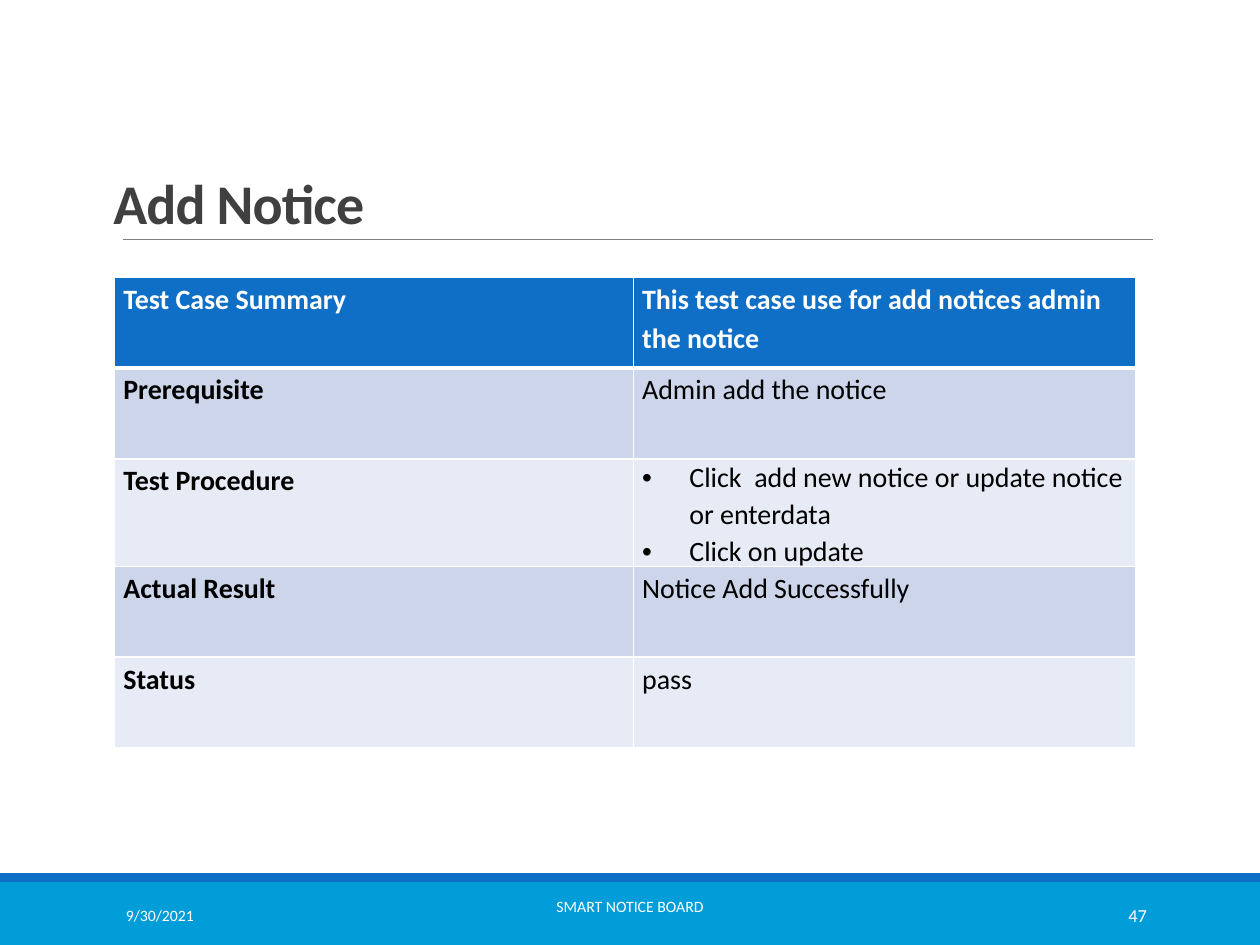
from pptx import Presentation as Deck
from pptx.util import Pt
from pptx.dml.color import RGBColor as RGB
from pptx.enum.shapes import MSO_SHAPE as Shape, MSO_CONNECTOR as Wire
from pptx.enum.text import PP_ALIGN as Align, MSO_ANCHOR as Anchor, MSO_AUTO_SIZE as Fit
from pptx.oxml.ns import qn
from lxml.etree import SubElement as Sub

WHITE = RGB(0xFF, 0xFF, 0xFF)
BLACK = RGB(0x00, 0x00, 0x00)
INK = RGB(0x40, 0x40, 0x40)
GRAY = RGB(0x80, 0x80, 0x80)
BLUE = RGB(0x0F, 0x6F, 0xC6)
CYAN = RGB(0x00, 0x9D, 0xD9)
BANDS = [RGB(0xE7, 0xEB, 0xF5), RGB(0xCC, 0xD5, 0xEA)]


def apply(obj, vals):
    for key, val in vals.items():
        setattr(obj, key, val)


class Page:
    face = "Calibri"

    def __init__(self, deck):
        self.slide = deck.slides.add_slide(deck.slide_layouts[5])
        self.shapes = self.slide.shapes

    def text(self, para, words, size, color, bold=False, **form):
        apply(para, form)
        run = para.add_run()
        run.text = words
        apply(run.font, {"name": self.face, "size": Pt(size), "bold": bold})
        run.font.color.rgb = color
        return run

    def bar(self, box, color):
        bar = self.shapes.add_shape(Shape.RECTANGLE, *map(Pt, box))
        bar.shadow.inherit = False
        bar.fill.solid()
        bar.fill.fore_color.rgb = color
        bar.line.fill.background()

    def rule(self, ends, color, width):
        rule = self.shapes.add_connector(Wire.STRAIGHT, *map(Pt, ends))
        rule.line.color.rgb = color
        rule.line.width = Pt(width)
        Sub(rule._element.spPr, qn("a:effectLst"))

    def title(self, box, words):
        title = self.shapes.title
        apply(title, dict(zip(("left", "top", "width", "height"), map(Pt, box))))
        frame = title.text_frame
        apply(frame, {"vertical_anchor": Anchor.BOTTOM, "word_wrap": True,
                      "auto_size": Fit.NONE})
        run = self.text(frame.paragraphs[0], words, 32, INK, True,
                        alignment=Align.LEFT, line_spacing=0.85)
        run.font._element.set("spc", "-50")

    def label(self, box, words, size, align, foot=3.6):
        frame = self.shapes.add_textbox(*map(Pt, box)).text_frame
        apply(frame, {"vertical_anchor": Anchor.MIDDLE, "word_wrap": True,
                      "margin_bottom": Pt(foot)})
        self.text(frame.paragraphs[0], words, size, WHITE, alignment=align)

    def edge(self, cell, row):
        props = cell._tc.get_or_add_tcPr()
        thick = {"lnT": 3 if row == 1 else 1, "lnB": 3 if row == 0 else 1}
        for side in ("lnL", "lnR", "lnT", "lnB"):
            line = Sub(props, qn("a:" + side), w=str(Pt(thick.get(side, 1))))
            Sub(Sub(line, qn("a:solidFill")), qn("a:srgbClr"), val=str(WHITE))

    def bullet(self, para):
        props = para._p.get_or_add_pPr()
        apply(para, {"line_spacing": 1.07})
        props.set("marL", str(Pt(27)))
        props.set("indent", str(-Pt(27)))
        Sub(props, qn("a:buFont"), typeface="Arial")
        Sub(props, qn("a:buChar"), char="•")

    def cell(self, cell, row, col, words):
        self.edge(cell, row)
        apply(cell, {"margin_left": Pt(5), "margin_right": Pt(5),
                     "margin_top": 0, "margin_bottom": 0})
        cell.fill.solid()
        cell.fill.fore_color.rgb = BANDS[row % 2] if row else BLUE
        items = words if isinstance(words, list) else [words]
        frame = cell.text_frame
        for i, item in enumerate(items):
            para = frame.add_paragraph() if i else frame.paragraphs[0]
            self.text(para, item, 16, BLACK if row else WHITE,
                      row == 0 or col == 0, line_spacing=1.15)
            if items is words:
                self.bullet(para)

    def table(self, left, top, cols, high, rows):
        grid = self.shapes.add_table(len(rows), len(cols), Pt(left), Pt(top),
                                     Pt(sum(cols)), Pt(high * len(rows))).table
        for col, wide in zip(grid.columns, cols):
            col.width = Pt(wide)
        for r, texts in enumerate(rows):
            grid.rows[r].height = Pt(high)
            for c, words in enumerate(texts):
                self.cell(grid.cell(r, c), r, c, words)


deck = Deck()
apply(deck, {"slide_width": Pt(720), "slide_height": Pt(540)})
page = Page(deck)

# Footer bands and title rule
page.bar((0, 504, 720, 36), CYAN)
page.bar((0, 499, 720, 5), BLUE)
page.rule((70.5, 136.8, 659, 136.8), GRAY, 0.5)

# Title
page.title((57.6, 70.5, 594, 67.7), "Add Notice")

# Footer texts
page.label((64.8, 508.5, 146, 28.8), "9/30/2021", 9, Align.LEFT)
page.label((217.5, 508.5, 285, 28.8), "SMART NOTICE BOARD", 9, Align.CENTER, 14)
page.label((584.6, 508.5, 77.8, 28.8), "47", 10.5, Align.RIGHT)

# Test case table
page.table(65.5, 158.6, (296.5, 287), 51.8, [
    ("Test Case Summary", "This test case use for add notices admin the notice"),
    ("Prerequisite", "Admin add the notice"),
    ("Test Procedure", ["Click  add new notice or update notice or enterdata",
                        "Click on update"]),
    ("Actual Result", "Notice Add Successfully"),
    ("Status", "pass"),
])

deck.save("out.pptx")
